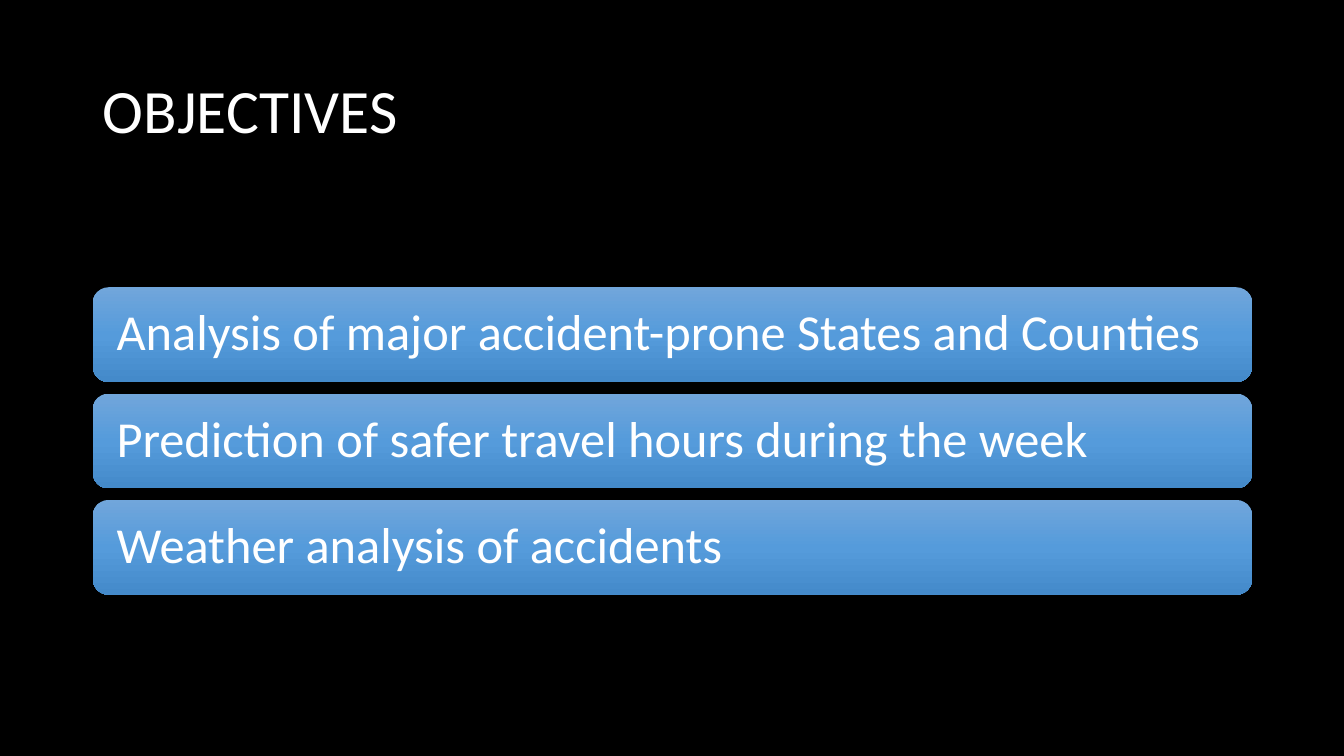
import copy

import pptx
import pptx.dml.color
import pptx.enum.shapes
import pptx.enum.text
import pptx.oxml.ns
import pptx.util

# Content
TITLE = "OBJECTIVES"
OBJECTIVES = [
    "Analysis of major accident-prone States and Counties",
    "Prediction of safer travel hours during the week",
    "Weather analysis of accidents",
]

# Style
FONT = "Calibri"
COLORS = {"background": "000000", "text": "FFFFFF",
          "bar_top": "71A6DB", "bar_middle": "559BDB", "bar_bottom": "448ACA"}
BAR_STOPS = [(0, "bar_top"), (0.5, "bar_middle"), (1, "bar_bottom")]

# Layout in inches
SLIDE_WIDTH, SLIDE_HEIGHT = 13.33, 7.5
MARGIN = 0.92
CONTENT_WIDTH = 11.5
TITLE_TOP, TITLE_HEIGHT = 0.4, 1.45
BAR_TOP, BAR_HEIGHT, BAR_PITCH = 2.85, 0.94, 1.055
BAR_INSET = 0.19


def color(name):
    return pptx.dml.color.RGBColor.from_string(COLORS[name])


def write_text(shape, text, size):
    frame = shape.text_frame
    frame.text = text
    frame.word_wrap = True
    frame.vertical_anchor = pptx.enum.text.MSO_ANCHOR.MIDDLE
    paragraph = frame.paragraphs[0]
    paragraph.alignment = pptx.enum.text.PP_ALIGN.LEFT
    paragraph.line_spacing = 0.9
    font = paragraph.runs[0].font
    font.name, font.size = FONT, pptx.util.Pt(size)
    font.color.rgb = color("text")


def fill_gradient(shape):
    shape.fill.gradient()
    shape.fill.gradient_angle = 270
    stop_list = next(shape._element.spPr.iter(pptx.oxml.ns.qn("a:gsLst")))
    stop_list.insert(1, copy.deepcopy(stop_list[0]))
    for stop, (position, name) in zip(shape.fill.gradient_stops, BAR_STOPS):
        stop.position = position
        stop.color.rgb = color(name)


def add_bar(slide, row, text):
    top = BAR_TOP + row * BAR_PITCH
    bar = slide.shapes.add_shape(
        pptx.enum.shapes.MSO_SHAPE.ROUNDED_RECTANGLE,
        *map(pptx.util.Inches, (MARGIN, top, CONTENT_WIDTH, BAR_HEIGHT)))
    bar.shadow.inherit = False
    bar.line.fill.background()
    fill_gradient(bar)
    bar.text_frame.margin_left = bar.text_frame.margin_right = pptx.util.Inches(BAR_INSET)
    write_text(bar, text, 36)


def main():
    presentation = pptx.Presentation()
    presentation.slide_width = pptx.util.Inches(SLIDE_WIDTH)
    presentation.slide_height = pptx.util.Inches(SLIDE_HEIGHT)
    slide = presentation.slides.add_slide(presentation.slide_layouts.get_by_name("Title Only"))
    slide.background.fill.solid()
    slide.background.fill.fore_color.rgb = color("background")

    # Title
    title = slide.shapes.title
    title.left, title.top, title.width, title.height = map(
        pptx.util.Inches, (MARGIN, TITLE_TOP, CONTENT_WIDTH, TITLE_HEIGHT))
    write_text(title, TITLE, 44)

    # Objective bars
    for row, text in enumerate(OBJECTIVES):
        add_bar(slide, row, text)

    presentation.save("out.pptx")


if __name__ == "__main__":
    main()
